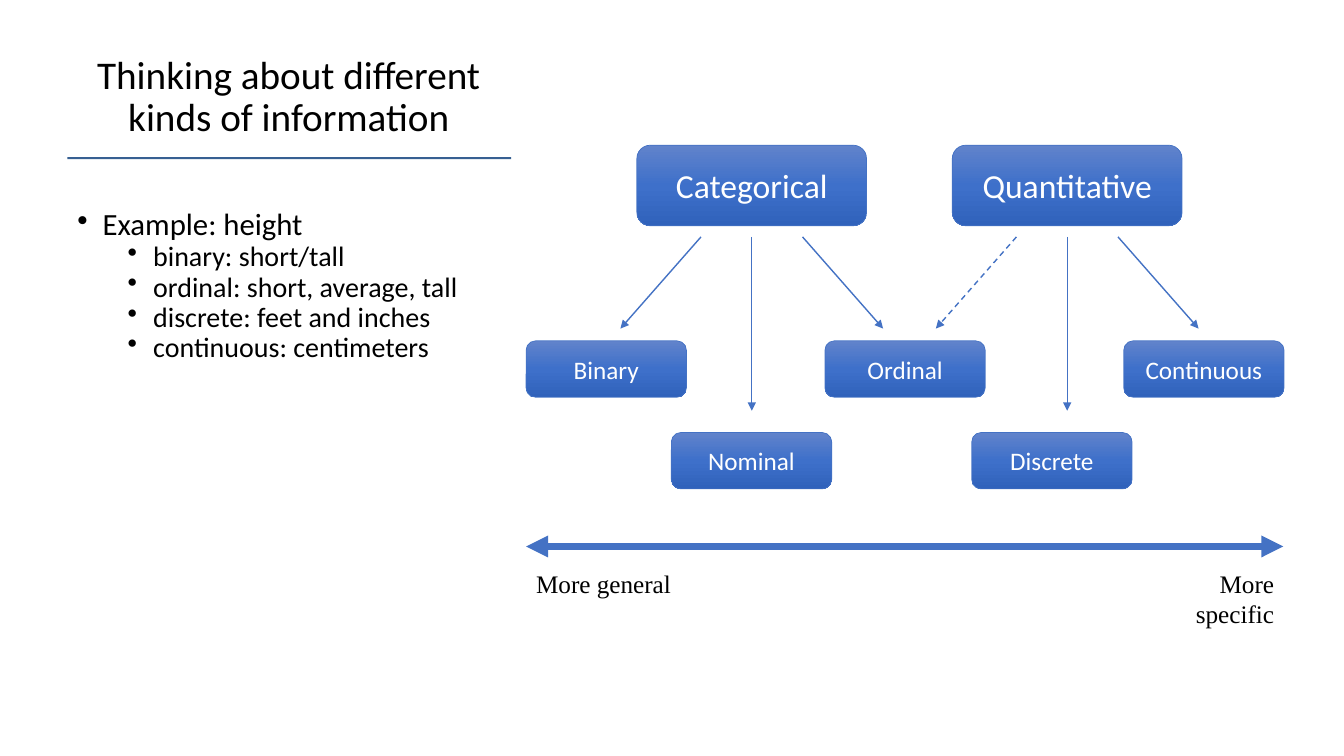
"""Build a slide that sorts kinds of information from general to specific."""
from copy import deepcopy
from dataclasses import dataclass

from lxml.etree import SubElement
from pptx import Presentation
from pptx.dml.color import RGBColor
from pptx.enum.dml import MSO_LINE_DASH_STYLE as Dash
from pptx.enum.shapes import MSO_CONNECTOR as Link, MSO_SHAPE as Form
from pptx.enum.text import MSO_ANCHOR as Anchor, PP_ALIGN as Align
from pptx.oxml.ns import qn
from pptx.shapes.autoshape import Shape
from pptx.shapes.shapetree import SlideShapes
from pptx.text.text import TextFrame
from pptx.util import Cm, Pt

BLACK = RGBColor(0x00, 0x00, 0x00)
WHITE = RGBColor(0xFF, 0xFF, 0xFF)
BLUE = RGBColor(0x44, 0x72, 0xC4)
NAVY = RGBColor(0x37, 0x60, 0x92)
SHADES = (RGBColor(0x61, 0x83, 0xCB), RGBColor(0x3E, 0x70, 0xCA), RGBColor(0x30, 0x62, 0xBB))

LEFT, RIGHT = 13.26, 32.34
TOP_W, TOP_H = 5.79, 2.03
KIND_W, KIND_H = 4.04, 1.42
HIGH, LOW = 8.59, 10.9
STEP = 7.53


@dataclass
class Card:
    text: str
    x: float
    y: float
    w: float = KIND_W
    h: float = KIND_H
    size: int = 18


@dataclass
class Arrow:
    x1: float
    y1: float
    x2: float
    y2: float
    width: float = 1
    dashed: bool = False
    double: bool = False


TOPICS = [
    Card("Categorical", 16.05, 3.66, TOP_W, TOP_H, 24),
    Card("Quantitative", 24, 3.66, TOP_W, TOP_H, 24),
]
KINDS = [Card(name, LEFT + i * STEP, HIGH) for i, name in enumerate(("Binary", "Ordinal", "Continuous"))]
KINDS += [Card("Nominal", 16.92, LOW), Card("Discrete", 24.49, LOW)]
POINTS = [
    "binary: short/tall",
    "ordinal: short, average, tall",
    "discrete: feet and inches",
    "continuous: centimeters",
]


def write(frame: TextFrame, text: str, *, size: float, font: str = "Calibri", color: RGBColor = BLACK,
          align: Align = Align.LEFT, space: float = 1, level: int = 0, indent: float = 0) -> None:
    """Add a paragraph, with a bullet where an indent is given."""
    fresh = not frame.paragraphs[0].runs
    para = frame.paragraphs[0] if fresh else frame.add_paragraph()
    para.alignment, para.line_spacing, para.level = align, space, level
    run = para.add_run()
    run.text = text
    run.font.name, run.font.size, run.font.color.rgb = font, Pt(size), color
    if indent:
        props = para._p.get_or_add_pPr()
        props.set("marL", str(Cm(indent)))
        props.set("indent", str(-Cm(0.64)))
        SubElement(props, qn("a:buChar"), char="•")


def add_box(shapes: SlideShapes, x: float, y: float, w: float, h: float,
            anchor: Anchor = Anchor.TOP) -> TextFrame:
    """Add a wrapping text box and return its frame."""
    frame = shapes.add_textbox(Cm(x), Cm(y), Cm(w), Cm(h)).text_frame
    frame.word_wrap, frame.vertical_anchor = True, anchor
    return frame


def shade(shape: Shape) -> None:
    """Fill a shape with the three blues from top to bottom."""
    fill = shape.fill
    fill.gradient()
    fill.gradient_angle = 270
    first = fill.gradient_stops[0]._gs
    first.addnext(deepcopy(first))
    for i, (stop, color) in enumerate(zip(fill.gradient_stops, SHADES)):
        stop.position, stop.color.rgb = i / 2, color


def add_card(shapes: SlideShapes, card: Card) -> None:
    """Draw a rounded card with its centred label."""
    shape = shapes.add_shape(Form.ROUNDED_RECTANGLE, Cm(card.x), Cm(card.y), Cm(card.w), Cm(card.h))
    shape.shadow.inherit = False
    shade(shape)
    shape.line.color.rgb, shape.line.width = BLUE, Pt(0.5)
    shape.text_frame.vertical_anchor = Anchor.MIDDLE
    write(shape.text_frame, card.text, size=card.size, color=WHITE, align=Align.CENTER)


def add_arrow(shapes: SlideShapes, arrow: Arrow) -> None:
    """Draw a straight arrow with one or two heads."""
    line = shapes.add_connector(Link.STRAIGHT, Cm(arrow.x1), Cm(arrow.y1), Cm(arrow.x2), Cm(arrow.y2))
    line.line.color.rgb, line.line.width = BLUE, Pt(arrow.width)
    if arrow.dashed:
        line.line.dash_style = Dash.DASH
    stroke = line.line._get_or_add_ln()
    for end in ("a:headEnd", "a:tailEnd") if arrow.double else ("a:tailEnd",):
        SubElement(stroke, qn(end), type="triangle")
    SubElement(line._element.spPr, qn("a:effectLst"))


def main() -> None:
    """Lay out the slide and save it."""
    deck = Presentation()
    deck.slide_width, deck.slide_height = Cm(33.87), Cm(19.05)
    shapes = deck.slides.add_slide(deck.slide_layouts[6]).shapes

    rule = shapes.add_shape(Form.RECTANGLE, Cm(1.7), Cm(3.96), Cm(11.18), Cm(0.05))
    rule.shadow.inherit = False
    rule.fill.solid()
    rule.fill.fore_color.rgb = NAVY
    rule.line.fill.background()

    title = add_box(shapes, 1.7, 0.76, 11.15, 2.9, Anchor.BOTTOM)
    write(title, "Thinking about different kinds of information", size=28, align=Align.CENTER, space=0.9)
    body = add_box(shapes, 1.7, 5.15, 10.36, 5.2)
    write(body, "Example: height", size=22, space=0.9, indent=0.64)
    for point in POINTS:
        write(body, point, size=20, space=0.9, level=1, indent=1.91)

    for card in TOPICS + KINDS:
        add_card(shapes, card)
    for topic in TOPICS:
        mid = topic.x + TOP_W / 2
        for side, end in ((-1, 8.28), (0, 10.35), (1, 8.28)):
            dashed = topic is TOPICS[1] and side < 0
            add_arrow(shapes, Arrow(mid + side * 1.28, 5.97, mid + side * 3.31, end, dashed=dashed))

    add_arrow(shapes, Arrow(RIGHT, 13.77, LEFT, 13.77, width=5.25, double=True))
    for text, x, align in (("More specific", 28.37, Align.RIGHT), ("More general", LEFT, Align.LEFT)):
        write(add_box(shapes, x, 14.2, 3.99, 1.02), text, size=18, font="Times New Roman", align=align)

    deck.save("out.pptx")


if __name__ == "__main__":
    main()
